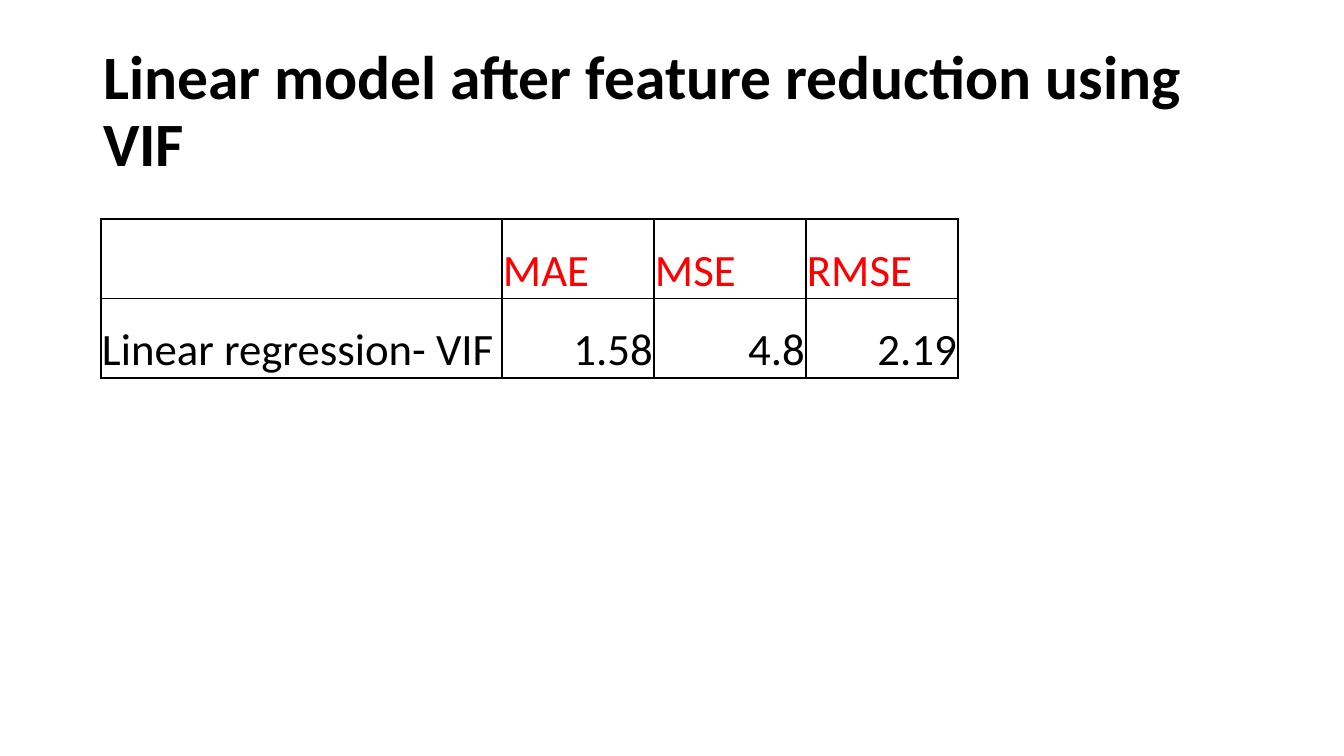
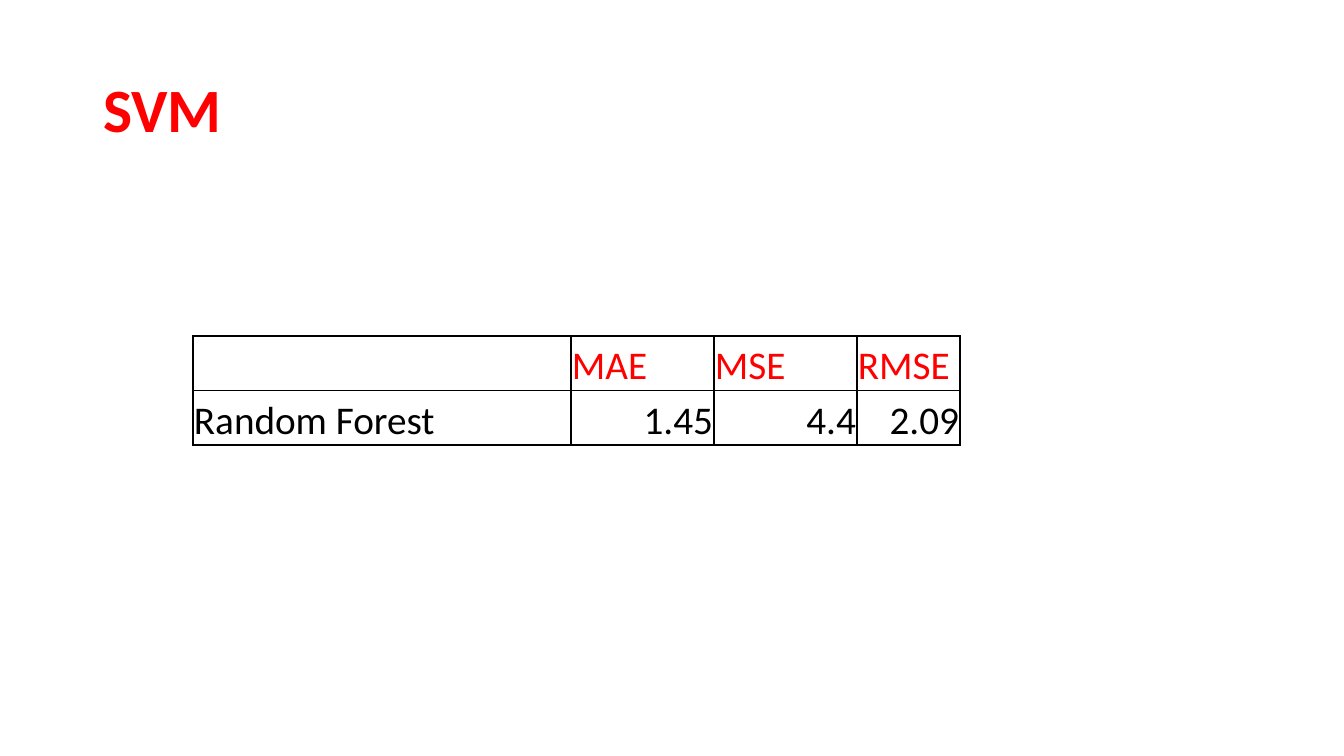
from dataclasses import dataclass

from lxml.etree import SubElement
from pptx import Presentation
from pptx.dml.color import RGBColor
from pptx.enum.text import MSO_ANCHOR as Anchor, MSO_AUTO_SIZE as AutoSize, PP_ALIGN as Align
from pptx.oxml.ns import qn
from pptx.util import Pt

EMU_PER_PIXEL = 914400 / 100.8
TITLE_ONLY = 5


@dataclass(frozen=True)
class Theme:
    font: str = "Calibri"
    text: str = "000000"
    accent: str = "FF0000"
    border: str = "000000"
    border_points: int = 1
    title_size: int = 44
    large_table_size: int = 32
    small_table_size: int = 28


THEME = Theme()
TITLE_BOX = (93, 40, 1159, 146)
METRICS = ("", "MAE", "MSE", "RMSE")


def px(pixels):
    return round(pixels * EMU_PER_PIXEL)


def style_paragraph(paragraph, size, color, align=Align.LEFT, bold=False):
    paragraph.alignment = align
    font = paragraph.font
    font.name, font.size, font.bold = THEME.font, Pt(size), bold
    font.color.rgb = RGBColor.from_string(color)


def add_titled_slide(presentation, text, color):
    slide = presentation.slides.add_slide(presentation.slide_layouts[TITLE_ONLY])
    title = slide.shapes.title
    title.left, title.top, title.width, title.height = map(px, TITLE_BOX)
    frame = title.text_frame
    frame.text = text
    frame.word_wrap = True
    frame.auto_size = AutoSize.NONE
    frame.vertical_anchor = Anchor.MIDDLE
    paragraph = frame.paragraphs[0]
    paragraph.line_spacing = 0.9
    style_paragraph(paragraph, THEME.title_size, color, bold=True)
    return slide


def add_borders(cell):
    properties = cell._tc.get_or_add_tcPr()
    for index, side in enumerate(("lnL", "lnR", "lnT", "lnB")):
        line = SubElement(properties, qn(f"a:{side}"), w=str(Pt(THEME.border_points)))
        fill = SubElement(line, qn("a:solidFill"))
        SubElement(fill, qn("a:srgbClr"), val=THEME.border)
        # Borders come before the fill in the cell properties
        properties.insert(index, line)


def fill_cell(cell, text, size, color, align):
    cell.text = text
    cell.fill.background()
    cell.vertical_anchor = Anchor.BOTTOM
    cell.margin_left = cell.margin_right = cell.margin_top = px(1)
    cell.margin_bottom = 0
    style_paragraph(cell.text_frame.paragraphs[0], size, color, align)
    add_borders(cell)


def add_score_table(slide, left, top, widths, row_height, size, scores):
    rows = (METRICS, scores)
    table = slide.shapes.add_table(
        len(rows), len(widths), px(left), px(top),
        px(sum(widths)), px(row_height * len(rows))).table
    table.first_row = table.horz_banding = False
    for column, width in zip(table.columns, widths):
        column.width = px(width)
    for row_index, row in enumerate(rows):
        table.rows[row_index].height = px(row_height)
        color = THEME.text if row_index else THEME.accent
        for column_index, text in enumerate(row):
            is_score = row_index and column_index
            fill_cell(table.cell(row_index, column_index), text, size, color,
                      Align.RIGHT if is_score else Align.LEFT)


def main():
    presentation = Presentation()
    presentation.slide_width, presentation.slide_height = px(1344), px(756)

    # Linear regression scores
    slide = add_titled_slide(
        presentation, "Linear model after feature reduction using VIF", THEME.text)
    add_score_table(slide, 101, 219, (401, 152, 152, 152), 79.5, THEME.large_table_size,
                    ("Linear regression- VIF", "1.58", "4.8", "2.19"))

    # Random forest scores
    slide = add_titled_slide(presentation, "SVM", THEME.accent)
    add_score_table(slide, 193, 336, (378, 143, 143, 103), 54.5, THEME.small_table_size,
                    ("Random Forest", "1.45", "4.4", "2.09"))

    presentation.save("out.pptx")


main()
